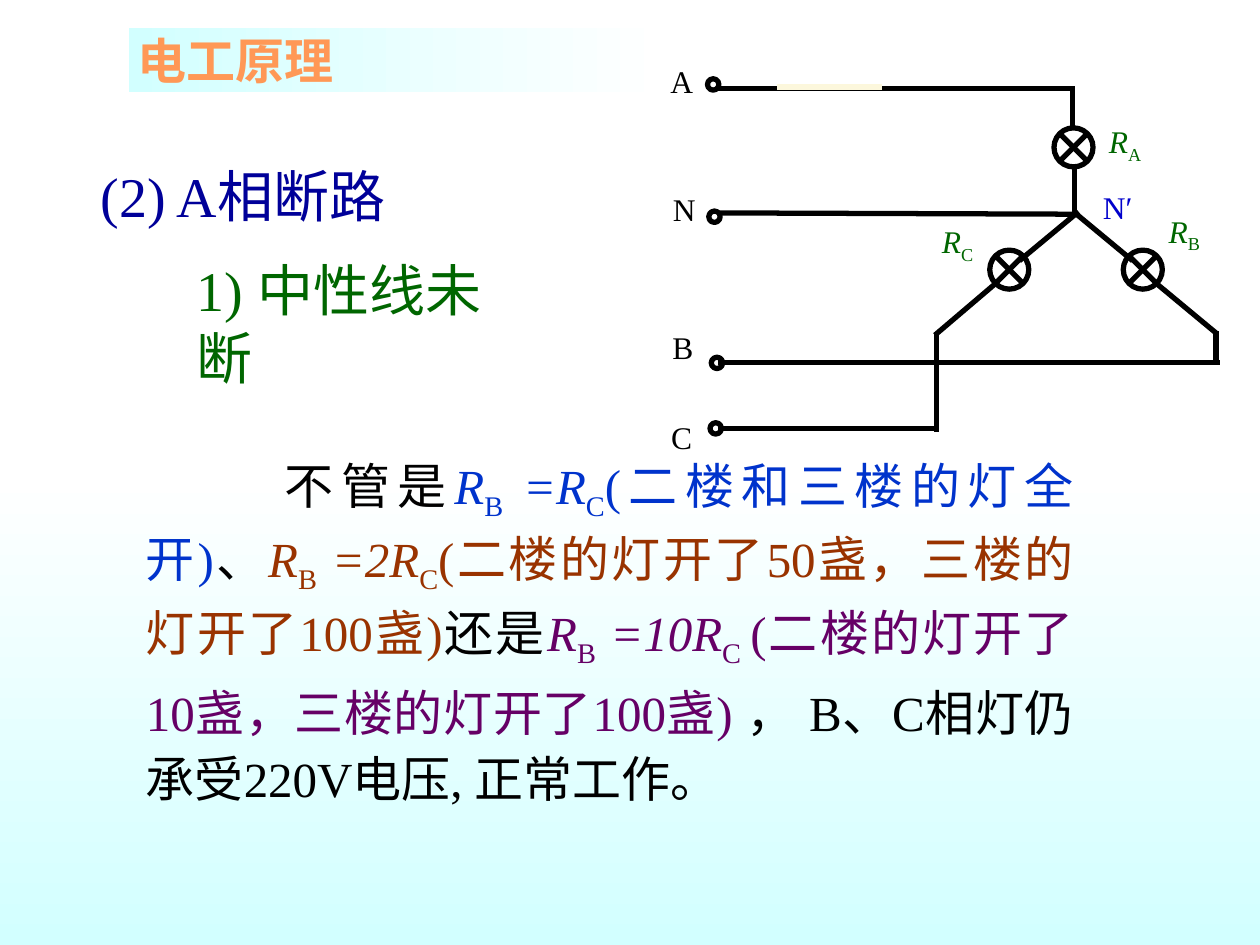
"""Build a slide on a three-phase lamp circuit with phase A open."""
from pptx import Presentation
from pptx.dml.color import RGBColor
from pptx.enum import shapes, text
from pptx.oxml import xmlchemy as ox
from pptx.util import Inches, Pt

FONT = "Times New Roman"
BLACK = RGBColor(0, 0, 0)
WHITE = RGBColor(0xFF, 0xFF, 0xFF)
AQUA = RGBColor(0xD2, 0xFF, 0xFF)
ORANGE = RGBColor(0xFF, 0x98, 0x56)
NAVY = RGBColor(0, 0, 0x99)
GREEN = RGBColor(0, 0x66, 0)
BLUE = RGBColor(0, 0x33, 0xCC)
NODE_BLUE = RGBColor(0, 0, 0xCC)
BROWN = RGBColor(0x99, 0x33, 0)
PURPLE = RGBColor(0x66, 0, 0x66)
CREAM = RGBColor(0xFC, 0xF7, 0xDC)


def ratio(factor, colour, end="C"):
    return [("R", colour, "i"), ("B", colour, "sub"),
            (f" ={factor}R", colour, "i"), (end, colour, "sub")]


BODY = [
    ("不管是", BLACK, ""),
    *ratio("", BLUE), ("(二楼和三楼的灯全开)", BLUE, ""), ("、", BLACK, ""),
    *ratio("2", BROWN), ("(二楼的灯开了50盏，三楼的灯开了100盏)", BROWN, ""),
    ("还是", BLACK, ""),
    *ratio("10", PURPLE, "C "), ("(二楼的灯开了10盏，三楼的灯开了100盏) ", PURPLE, ""),
    ("，", BLACK, ""), (" ", BLACK, "big"),
    ("B、C相灯仍承受220V电压, 正常工作。", BLACK, ""),
]
LABELS = [
    (5.41, 0.64, [("A", BLACK, "")]),
    (5.43, 1.66, [("N", BLACK, "")]),
    (5.42, 2.75, [("B", BLACK, "")]),
    (5.41, 3.47, [("C", BLACK, "")]),
    (8.87, 1.64, [("N′", NODE_BLUE, "")]),
    (8.93, 1.14, [("R", GREEN, "i"), ("A", GREEN, "sub")]),
    (9.4, 1.85, [("R", GREEN, "i"), ("B", GREEN, "sub")]),
    (7.6, 1.93, [("R", GREEN, "i"), ("C", GREEN, "sub")]),
]
TERMINALS = [(5.66, 0.67), (5.67, 1.72), (5.69, 2.88), (5.68, 3.4)]
LAMPS = [(8.52, 1.17), (8.01, 2.14), (9.07, 2.14)]
WIRES = [
    (5.7, 0.7, 8.53, 0.7), (8.51, 0.71, 8.51, 1.03), (8.53, 1.31, 8.53, 1.7),
    (5.7, 1.69, 8.55, 1.7),
    (8.52, 1.68, 8.99, 2.07), (9.19, 2.26, 9.66, 2.65),
    (9.65, 2.63, 9.65, 2.87), (9.68, 2.88, 5.7, 2.88),
    (8.56, 1.68, 8.09, 2.07), (7.89, 2.26, 7.42, 2.66),
    (7.43, 2.64, 7.43, 3.43), (5.7, 3.4, 7.45, 3.4),
]
BREAK = (6.17, 0.69, 7, 0.69)


def set_gradient(fill, angle, stops):
    fill.gradient()
    fill.gradient_angle = angle
    for stop, (pos, colour) in zip(fill.gradient_stops, stops):
        stop.position = pos
        stop.color.rgb = colour


def add_text(s, box, runs, size, align=text.PP_ALIGN.LEFT,
             anchor=text.MSO_ANCHOR.MIDDLE, bold=False):
    tf = s.shapes.add_textbox(*map(Inches, box)).text_frame
    tf.word_wrap = True
    tf.vertical_anchor = anchor
    p = tf.paragraphs[0]
    p.alignment = align
    p.font.name, p.font.size, p.font.bold = FONT, Pt(size), bold
    for words, colour, style in runs:
        r = p.add_run()
        r.text = words
        r.font.color.rgb = colour
        if style == "i":
            r.font.italic = True
        elif style == "sub":
            r._r.get_or_add_rPr().set("baseline", "-25000")
        elif style == "big":
            r.font.size = Pt(32)
    return p


def add_wire(s, ends, colour=BLACK):
    c = s.shapes.add_connector(shapes.MSO_CONNECTOR.STRAIGHT, *map(Inches, ends))
    c.line.color.rgb = colour
    c.line.width = Pt(3)
    c._element.spPr.append(ox.OxmlElement("a:effectLst"))


def add_ring(s, x, y, size):
    sp = s.shapes.add_shape(shapes.MSO_SHAPE.OVAL, Inches(x - size / 2),
                            Inches(y - size / 2), Inches(size), Inches(size))
    sp.shadow.inherit = False
    sp.fill.background()
    sp.line.color.rgb = BLACK
    sp.line.width = Pt(3)


def add_lamp(s, x, y, arm=0.1):
    add_ring(s, x, y, 0.31)
    for dy in (arm, -arm):
        add_wire(s, (x - arm, y - dy, x + arm, y + dy))


def main():
    prs = Presentation()
    prs.slide_width, prs.slide_height = Inches(10), Inches(7.5)
    s = prs.slides.add_slide(prs.slide_layouts[6])
    set_gradient(s.background.fill, 270, [(0.5, WHITE), (1, AQUA)])

    band = s.shapes.add_shape(shapes.MSO_SHAPE.RECTANGLE,
                              *map(Inches, (1.02, 0.22, 8.55, 0.51)))
    band.shadow.inherit = False
    band.line.fill.background()
    set_gradient(band.fill, 0, [(0, AQUA), (0.5, WHITE)])

    add_text(s, (0.98, 0.19, 1.78, 0.57), [("电工原理", ORANGE, "")], 28,
             text.PP_ALIGN.CENTER, bold=True)
    add_text(s, (0.7, 1.23, 3.67, 0.63), [("(2) A相断路", NAVY, "")], 32)
    add_text(s, (1.46, 2.25, 2.9, 0.63), [("1) 中性线未断", GREEN, "")], 32)
    p = add_text(s, (1.06, 3.51, 7.56, 2.74), BODY, 28,
                 text.PP_ALIGN.JUSTIFY, text.MSO_ANCHOR.TOP)
    p.line_spacing = 1.1
    p._p.get_or_add_pPr().set("indent", str(Inches(1.1)))

    for wire in WIRES:
        add_wire(s, wire)
    for x, y in TERMINALS:
        add_ring(s, x, y, 0.09)
    for x, y in LAMPS:
        add_lamp(s, x, y)
    for x, y, runs in LABELS:
        add_text(s, (x - 0.29, y - 0.25, 0.58, 0.5), runs, 18,
                 text.PP_ALIGN.CENTER)
    add_wire(s, BREAK, CREAM)
    prs.save("out.pptx")


if __name__ == "__main__":
    main()
